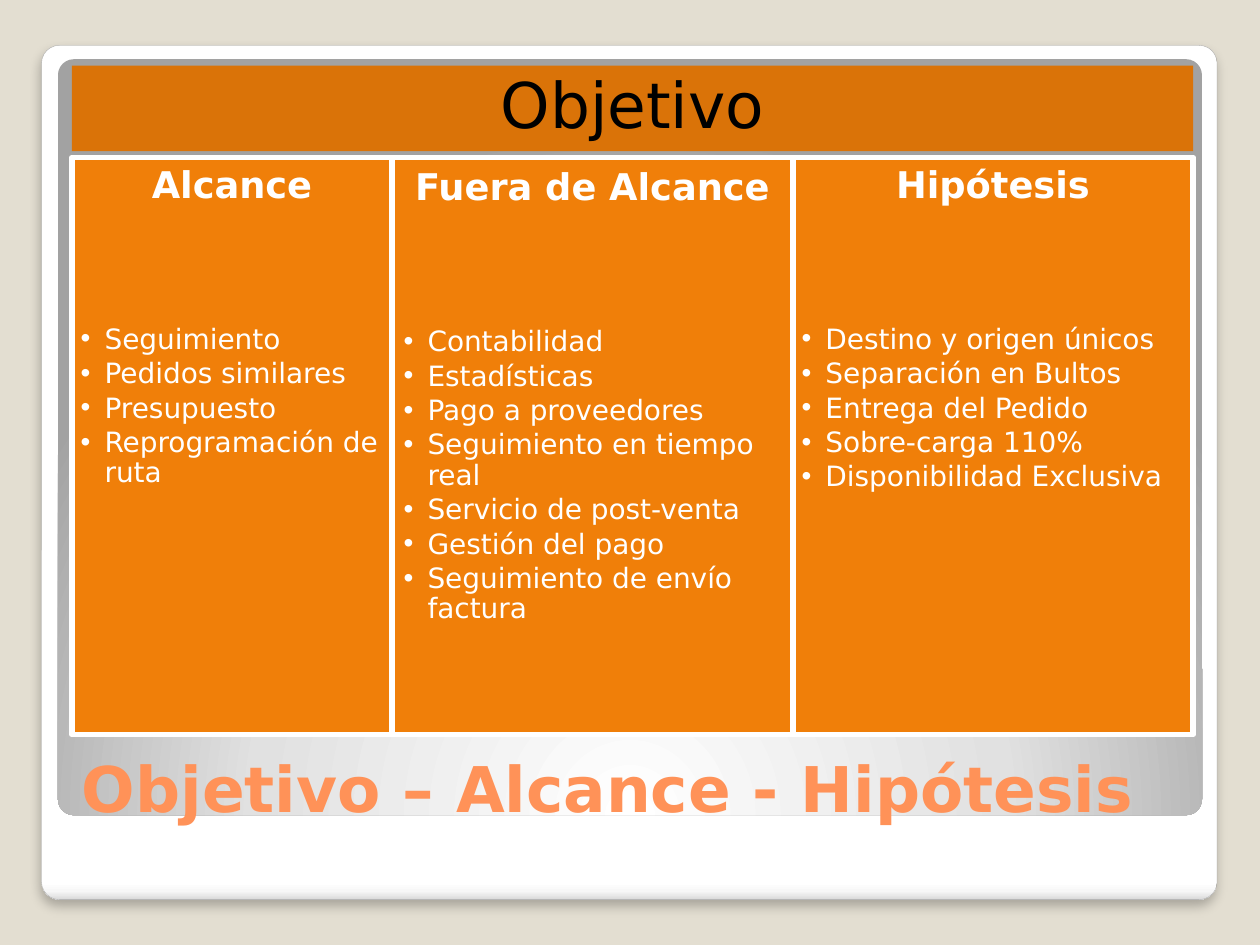
from lxml.etree import SubElement as sub
from pptx import Presentation
from pptx.dml.color import RGBColor
from pptx.enum.shapes import MSO_SHAPE as SHAPE
from pptx.enum.text import MSO_ANCHOR as ANCHOR, MSO_AUTO_SIZE as FIT, PP_ALIGN as ALIGN
from pptx.oxml import parse_xml
from pptx.oxml.ns import qn, nsdecls
from pptx.util import Inches, Pt

FONT = "DejaVu Sans"
SAND = RGBColor(0xE3, 0xDE, 0xD1)
GREY = RGBColor(0xA4, 0xA4, 0xA4)
PEACH = RGBColor(0xFF, 0x92, 0x58)
RUST = RGBColor(0xDA, 0x73, 0x08)
ORANGE = RGBColor(0xF0, 0x7F, 0x09)
WHITE = RGBColor(0xFF, 0xFF, 0xFF)
BLACK = RGBColor(0, 0, 0)

# Grid of 14 units across, shared by the banner and the cards
LEFT, WIDE, UNITS = 0.57, 8.9, 14
UNIT = WIDE / UNITS
TOP, TALL = 1.25, 4.58

# Heading, width in units, inset, list items
CARDS = [
    ("Alcance", 4, 0.07,
     ["Seguimiento", "Pedidos similares", "Presupuesto", "Reprogramación de ruta"]),
    ("Fuera de Alcance", 5, 0.09,
     ["Contabilidad", "Estadísticas", "Pago a proveedores",
      "Seguimiento en tiempo real", "Servicio de post-venta",
      "Gestión del pago", "Seguimiento de envío factura"]),
    ("Hipótesis", 5, 0.07,
     ["Destino y origen únicos", "Separación en Bultos", "Entrega del Pedido",
      "Sobre-carga 110%", "Disponibilidad Exclusiva"]),
]


def place(shape, x, y, w, h):
    shape.left, shape.top = Inches(x), Inches(y)
    shape.width, shape.height = Inches(w), Inches(h)


def add_panel(slide, depth, box, stops, way):
    """Rounded panel with a gradient, put behind the placeholders."""
    panel = slide.shapes.add_shape(SHAPE.ROUNDED_RECTANGLE, *map(Inches, box))
    panel.adjustments[0] = 0.021
    panel.shadow.inherit = False
    panel.line.fill.background()
    panel.fill.background()
    marks = "".join(f'<a:gs pos="{pos * 1000}"><a:srgbClr val="{tone}"/></a:gs>'
                    for pos, tone in stops)
    grad = parse_xml(f'<a:gradFill {nsdecls("a")} rotWithShape="1">'
                     f'<a:gsLst>{marks}</a:gsLst>{way}</a:gradFill>')
    props = panel._element.spPr
    props.replace(props.find(qn("a:noFill")), grad)
    slide.shapes._spTree.insert(2 + depth, panel._element)
    return panel


def add_shade(shape):
    glow = sub(shape._element.spPr.find(qn("a:effectLst")), qn("a:outerShdw"),
               blurRad=str(Pt(6)), dist=str(Pt(4)), dir="5400000", rotWithShape="0")
    tone = sub(glow, qn("a:srgbClr"), val="000000")
    sub(tone, qn("a:alpha"), val="25000")


def set_frame(shape, inset, anchor):
    frame = shape.text_frame
    frame.word_wrap, frame.auto_size = True, FIT.NONE
    frame.vertical_anchor = anchor
    frame.margin_left = frame.margin_right = Inches(inset)
    frame.margin_top = frame.margin_bottom = Inches(inset)
    return frame


def style(para, size, color, bold=False, align=ALIGN.LEFT, after=0, bullet=False):
    para.alignment, para.line_spacing = align, 0.9
    para.space_before, para.space_after = Pt(0), Pt(after)
    props = para._p.get_or_add_pPr()
    hang = Inches(0.19) if bullet else 0
    props.set("marL", str(hang))
    props.set("indent", str(-hang))
    if bullet:
        sub(props, qn("a:buChar"), char="•")
    else:
        sub(props, qn("a:buNone"))
    for run in para.runs:
        font = run.font
        font.name, font.size, font.bold = FONT, Pt(size), bold
        font.color.rgb = color


def fill_card(card, head, inset, items):
    card.fill.solid()
    card.fill.fore_color.rgb = ORANGE
    card.line.color.rgb = WHITE
    card.line.width = Pt(3.35)
    frame = set_frame(card, inset, ANCHOR.TOP)
    frame.text = "\n".join([head] + items)
    first, *rest = frame.paragraphs
    style(first, 21, WHITE, True, ALIGN.CENTER, after=68)
    for para in rest:
        style(para, 16, WHITE, after=2.4, bullet=True)


def main():
    deck = Presentation()
    deck.slide_width, deck.slide_height = Inches(10), Inches(7.5)
    slide = deck.slides.add_slide(deck.slide_layouts[4])
    slide.background.fill.solid()
    slide.background.fill.fore_color.rgb = SAND
    title, banner, *cards = slide.placeholders

    # Backdrop
    sheet = add_panel(slide, 0, (0.33, 0.36, 9.33, 6.78),
                      [(0, "FFFFFF"), (98, "FFFFFF"), (99, "F7F7F7"), (100, "DADADA")],
                      '<a:lin ang="5400000" scaled="0"/>')
    sheet.line.color.rgb = GREY
    sheet.line.width = Pt(0.16)
    add_shade(sheet)
    add_panel(slide, 1, (0.46, 0.47, 9.08, 6),
              [(0, "FFFFFF"), (55, "E1E1E1"), (100, "A2A2A2")],
              '<a:path path="circle"><a:fillToRect l="50000" t="175000" '
              'r="50000" b="-75000"/></a:path>')

    # Title
    place(title, 0.55, 5.45, 8.95, 1.15)
    frame = set_frame(title, 0.1, ANCHOR.BOTTOM)
    frame.margin_top = frame.margin_bottom = Inches(0.05)
    frame.text = "Objetivo – Alcance - Hipótesis"
    style(frame.paragraphs[0], 36, PEACH, True)
    frame.paragraphs[0].line_spacing = 1.0

    # Banner
    place(banner, LEFT, 0.52, WIDE, 0.68)
    banner.fill.solid()
    banner.fill.fore_color.rgb = RUST
    frame = set_frame(banner, 0.15, ANCHOR.MIDDLE)
    frame.text = "Objetivo"
    style(frame.paragraphs[0], 36, BLACK, align=ALIGN.CENTER)

    # Cards
    col = 0
    for card, (head, span, inset, items) in zip(cards, CARDS):
        place(card, LEFT + col * UNIT, TOP, span * UNIT, TALL)
        fill_card(card, head, inset, items)
        col += span

    deck.save("out.pptx")


if __name__ == "__main__":
    main()
